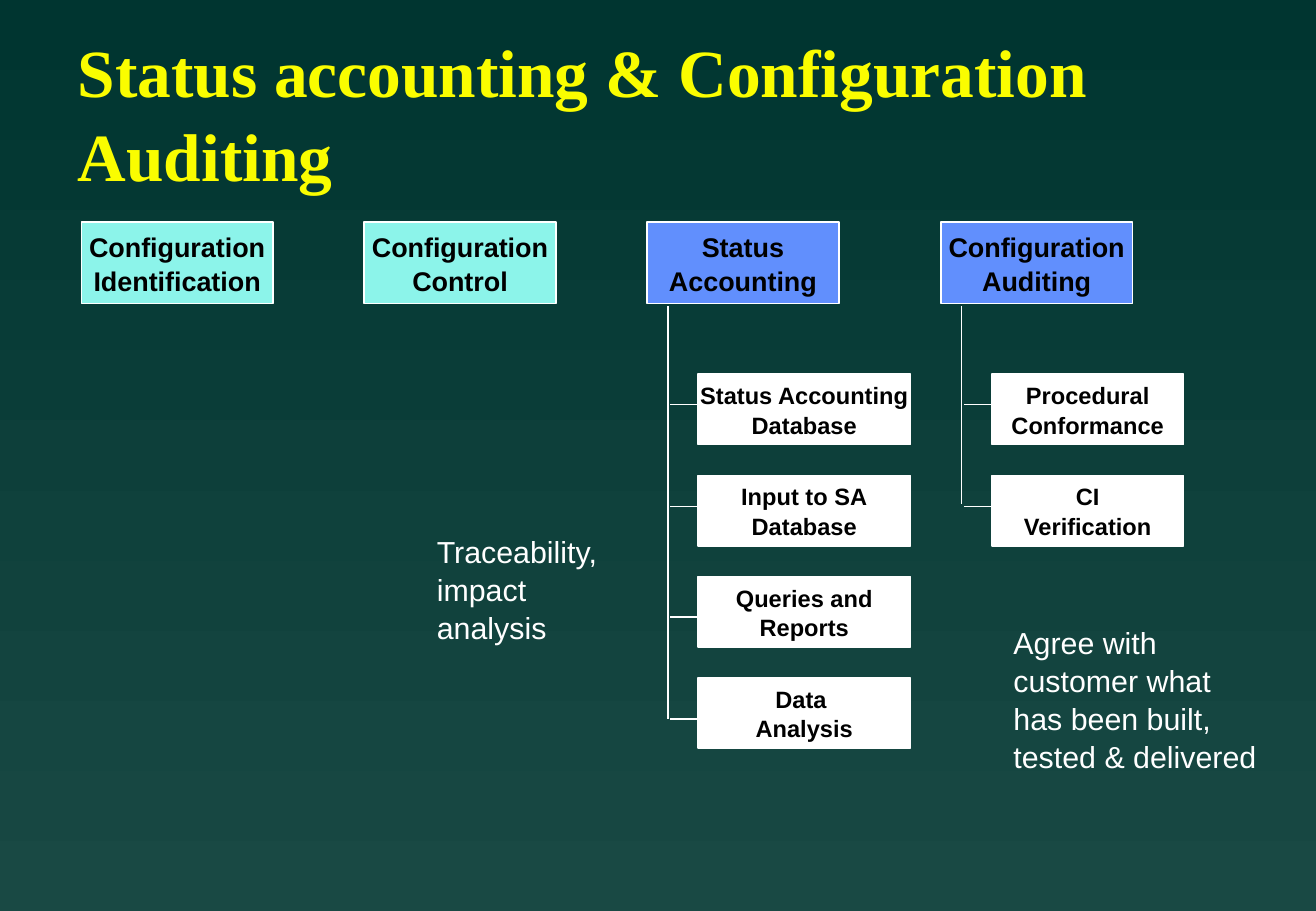
from lxml import etree
from pptx import Presentation
from pptx.dml.color import RGBColor
from pptx.enum.shapes import MSO_CONNECTOR, MSO_SHAPE
from pptx.enum.text import MSO_ANCHOR, MSO_AUTO_SIZE, PP_ALIGN
from pptx.oxml.ns import qn
from pptx.util import Inches, Pt

RECT, STRAIGHT = MSO_SHAPE.RECTANGLE, MSO_CONNECTOR.STRAIGHT
LEFT, CENTER = PP_ALIGN.LEFT, PP_ALIGN.CENTER
MIDDLE = MSO_ANCHOR.MIDDLE
NO_FIT, GROW = MSO_AUTO_SIZE.NONE, MSO_AUTO_SIZE.SHAPE_TO_FIT_TEXT

TITLE = "Status accounting & Configuration Auditing"
ACTIVITIES = [
    (0.67, "8CF4EA", "Configuration\nIdentification"),
    (3.00, "8CF4EA", "Configuration\nControl"),
    (5.33, "618FFD", "Status\nAccounting"),
    (7.75, "618FFD", "Configuration\nAuditing"),
]
BRANCHES = [
    (5.33, 1.75, 5.92, ["Status Accounting\nDatabase", "Input to SA\nDatabase",
                        "Queries and\nReports", "Data \nAnalysis"]),
    (7.75, 1.58, 4.15, ["Procedural\nConformance", "CI\nVerification"]),
]
NOTES = [
    (3.5, 4.33, 1.55, 1.0, "Traceability,\nimpact\nanalysis"),
    (8.25, 5.08, 2.2, 1.3, "Agree with\ncustomer what\nhas been built,\ntested & delivered"),
]
TICK_YS = [3.33, 4.17, 5.08, 5.92]
HEAD_TOP, HEAD_W, HEAD_H = 1.83, 1.58, 0.67
TASK_TOP, TASK_H, TASK_PITCH = 3.08, 0.58, 2.5 / 3
TRUNK_DX, TASK_DX, TRUNK_TOP = 0.17, 0.42, 2.52
LINE_SPACING = 1.04


def rgb(value):
    return RGBColor.from_string(value)


def write(tf, text, size, color, bold=False, align=LEFT, font="Arial"):
    tf.text = text
    for p in tf.paragraphs:
        p.alignment = align
        p.line_spacing = LINE_SPACING
        for r in p.runs:
            r.font.name = font
            r.font.size = Pt(size)
            r.font.bold = bold
            r.font.color.rgb = rgb(color)


def add_box(x, y, w, h, fill, text, size):
    sp = slide.shapes.add_shape(RECT, Inches(x), Inches(y), Inches(w), Inches(h))
    sp.shadow.inherit = False
    sp.fill.solid()
    sp.fill.fore_color.rgb = rgb(fill)
    sp.line.color.rgb = rgb("FFFFFF")
    sp.line.width = Pt(1)
    tf = sp.text_frame
    tf.word_wrap = False
    tf.vertical_anchor = MIDDLE
    write(tf, text, size, "000000", True, CENTER)


def add_line(x1, y1, x2, y2):
    line = slide.shapes.add_connector(STRAIGHT, Inches(x1), Inches(y1), Inches(x2), Inches(y2))
    line.line.color.rgb = rgb("FFFFFF")
    line.line.width = Pt(1)
    etree.SubElement(line._element.spPr, qn("a:effectLst"))


prs = Presentation()
prs.slide_width, prs.slide_height = Inches(10.84), Inches(7.5)
slide = prs.slides.add_slide(prs.slide_layouts[5])

bg = slide.background.fill
bg.gradient()
bg.gradient_angle = 270
for stop, color in zip(bg.gradient_stops, ("003530", "194944")):
    stop.color.rgb = rgb(color)

title = slide.shapes.title
title.left, title.top = Inches(0.54), Inches(0.58)
title.width, title.height = Inches(9.21), Inches(0.67)
tf = title.text_frame
tf.word_wrap = True
tf.auto_size = NO_FIT
tf.vertical_anchor = MIDDLE
write(tf, TITLE, 40, "FAFD00", True, font="Times New Roman")

for x, fill, text in ACTIVITIES:
    add_box(x, HEAD_TOP, HEAD_W, HEAD_H, fill, text, 16)

for x, width, trunk_end, tasks in BRANCHES:
    trunk_x, task_x = x + TRUNK_DX, x + TASK_DX
    add_line(trunk_x, TRUNK_TOP, trunk_x, trunk_end)
    for i, (text, tick_y) in enumerate(zip(tasks, TICK_YS)):
        add_box(task_x, TASK_TOP + i * TASK_PITCH, width, TASK_H, "FFFFFF", text, 14)
        add_line(trunk_x + 0.02, tick_y, task_x - 0.01, tick_y)

for x, y, w, h, text in NOTES:
    sp = slide.shapes.add_textbox(Inches(x), Inches(y), Inches(w), Inches(h))
    tf = sp.text_frame
    tf.word_wrap = False
    tf.auto_size = GROW
    write(tf, text, 18, "FFFFFF")

prs.save("out.pptx")
